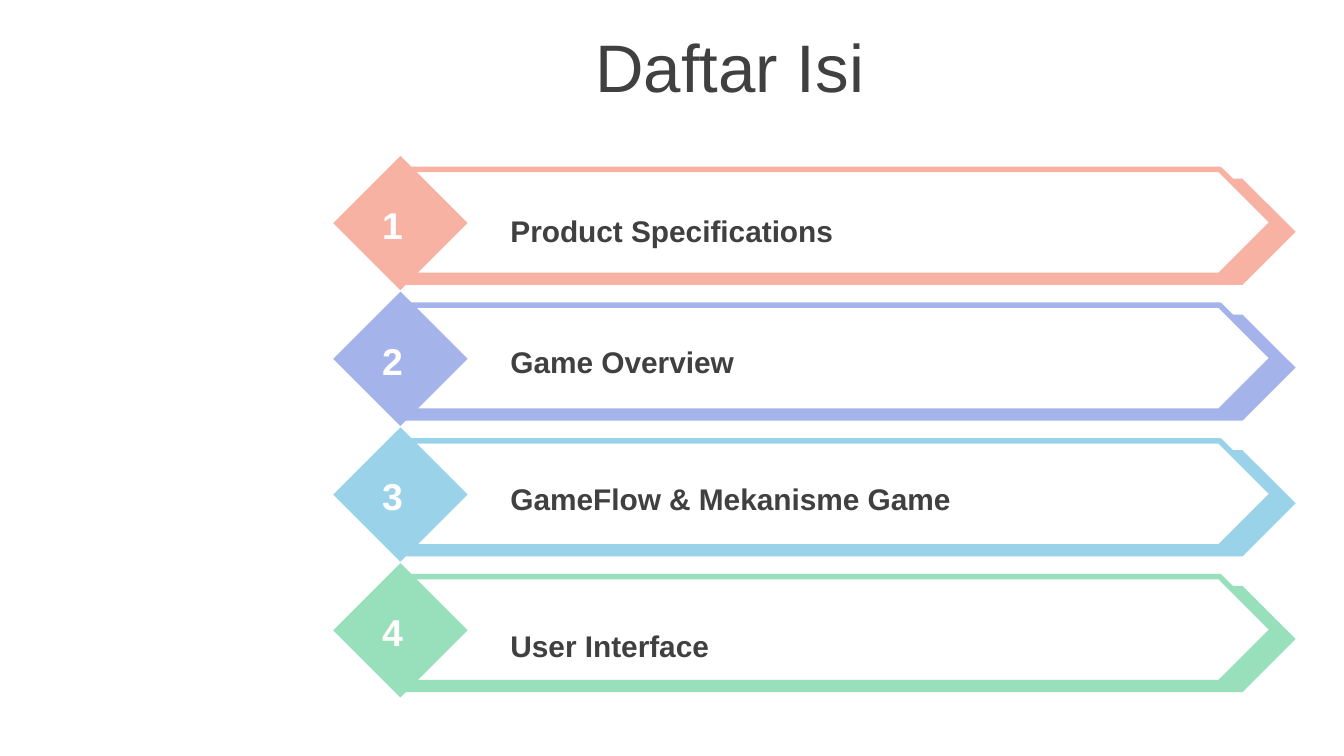
from dataclasses import dataclass

from pptx import Presentation
from pptx.dml.color import RGBColor
from pptx.enum.shapes import MSO_SHAPE
from pptx.enum.text import MSO_ANCHOR, MSO_AUTO_SIZE, PP_ALIGN
from pptx.util import Inches, Pt


@dataclass(frozen=True)
class Theme:
    font: str = "Arial"
    ink: str = "404040"
    paper: str = "FFFFFF"
    accents: tuple = ("F8B2A3", "A4B4EA", "9AD3E9", "98DFBB")
    title_size: int = 36
    number_size: int = 20
    label_size: int = 16
    outline: int = 3


THEME = Theme()
ITEMS = [
    ("Product Specifications", 0.37),
    ("Game Overview", 0.34),
    ("GameFlow & Mekanisme Game", 0.35),
    ("User Interface", 0.43),
]
ROW_LEFT, ROW_TOP, ROW_PITCH = 2.48, 1.16, 1.01


def write(tf, text, size, color, bold=False, align=PP_ALIGN.LEFT, anchor=MSO_ANCHOR.TOP):
    tf.word_wrap = True
    tf.auto_size = MSO_AUTO_SIZE.NONE
    tf.vertical_anchor = anchor
    p = tf.paragraphs[0]
    p.alignment = align
    r = p.add_run()
    r.text = text
    r.font.name = THEME.font
    r.font.size = Pt(size)
    r.font.bold = bold
    r.font.color.rgb = RGBColor.from_string(color)


def add_text(s, x, y, w, h, *args, **style):
    sp = s.shapes.add_textbox(Inches(x), Inches(y), Inches(w), Inches(h))
    write(sp.text_frame, *args, **style)


def add_block(s, kind, x, y, w, h, fill, line=None):
    sp = s.shapes.add_shape(kind, Inches(x), Inches(y), Inches(w), Inches(h))
    sp.shadow.inherit = False
    sp.fill.solid()
    sp.fill.fore_color.rgb = RGBColor.from_string(fill)
    if line:
        sp.line.color.rgb = RGBColor.from_string(line)
        sp.line.width = Pt(THEME.outline)
    else:
        sp.line.fill.background()


def add_title(s, x, y, w, h):
    sp = s.shapes.title
    sp.left, sp.top, sp.width, sp.height = (Inches(v) for v in (x, y, w, h))
    write(sp.text_frame, "Daftar Isi", THEME.title_size, THEME.ink,
          align=PP_ALIGN.CENTER, anchor=MSO_ANCHOR.MIDDLE)


def add_item(s, x, y, number, label, label_dy, accent):
    add_block(s, MSO_SHAPE.PENTAGON, x + 0.52, y + 0.17, 6.64, 0.79, accent)
    add_block(s, MSO_SHAPE.PENTAGON, x + 0.52, y + 0.1, 6.47, 0.79, THEME.paper, accent)
    add_block(s, MSO_SHAPE.DIAMOND, x, y, 1, 1, accent)
    add_text(s, x + 0.26, y + 0.29, 0.44, 0.44, f"{number} ", THEME.number_size, THEME.paper,
             bold=True, align=PP_ALIGN.CENTER, anchor=MSO_ANCHOR.MIDDLE)
    add_text(s, x + 1.22, y + label_dy, 5.2, 0.37, label, THEME.label_size, THEME.ink, bold=True)


def main():
    prs = Presentation()
    prs.slide_width = Inches(10)
    prs.slide_height = prs.slide_width * 9 // 16
    s = prs.slides.add_slide(prs.slide_layouts[5])
    add_title(s, 0.43, 0.17, 10, 0.63)
    for i, ((label, label_dy), accent) in enumerate(zip(ITEMS, THEME.accents)):
        add_item(s, ROW_LEFT, ROW_TOP + i * ROW_PITCH, i + 1, label, label_dy, accent)
    prs.save("out.pptx")


if __name__ == "__main__":
    main()
